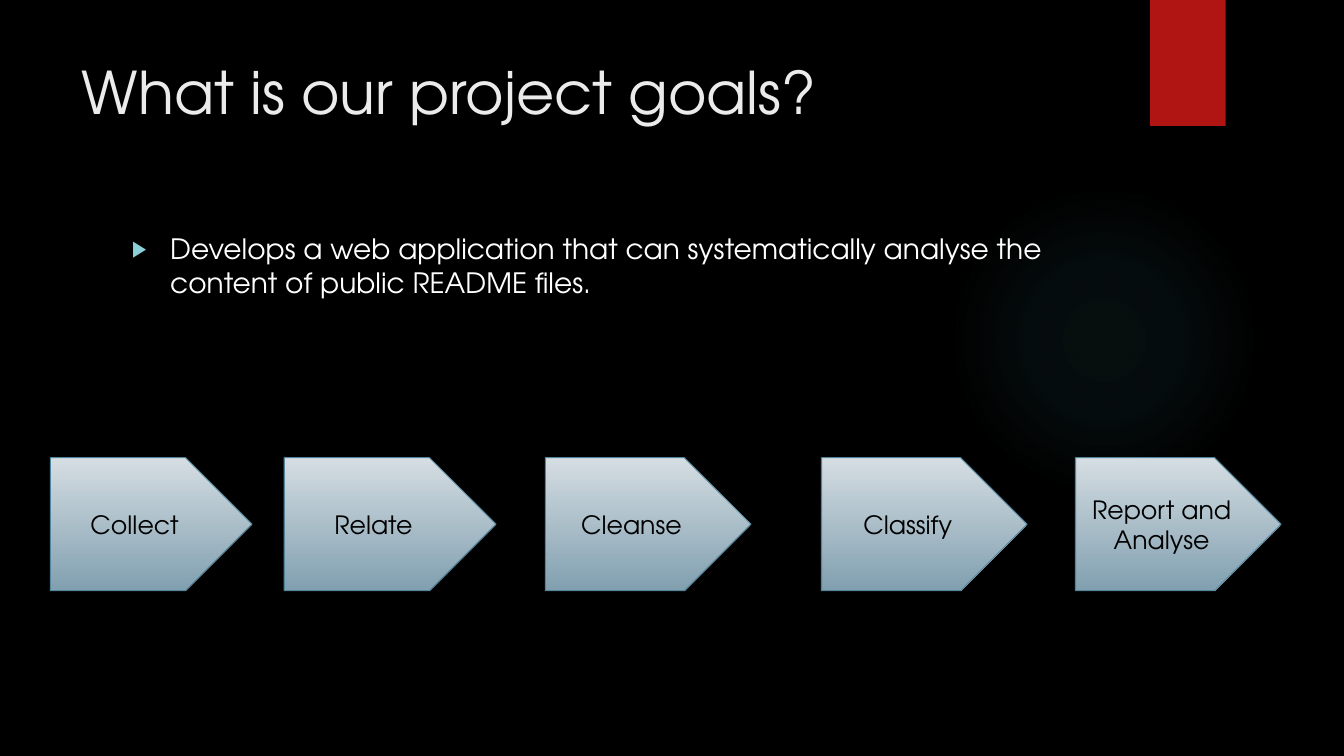
from lxml import etree
from pptx import Presentation
from pptx.dml.color import RGBColor
from pptx.enum.shapes import MSO_SHAPE
from pptx.enum.text import MSO_ANCHOR, MSO_AUTO_SIZE, PP_ALIGN
from pptx.oxml import parse_xml
from pptx.oxml.ns import nsdecls, qn
from pptx.util import Inches, Pt

OVAL, RECTANGLE, PENTAGON = MSO_SHAPE.OVAL, MSO_SHAPE.RECTANGLE, MSO_SHAPE.PENTAGON
TOP, MIDDLE = MSO_ANCHOR.TOP, MSO_ANCHOR.MIDDLE
LEFT, CENTER = PP_ALIGN.LEFT, PP_ALIGN.CENTER
NO_AUTOFIT = MSO_AUTO_SIZE.NONE

WIDTH, HEIGHT = Inches(13.33), Inches(7.5)
COLUMN, ROW = WIDTH / 40, HEIGHT / 30
FONT = "TeX Gyre Adventor"
COLORS = {
    "background": "000000",
    "glow": "50B9C1",
    "ribbon": "B01513",
    "title": "EBEBEB",
    "body": "FFFFFF",
    "bullet": "8AD0D6",
    "step_top": "D5DDE2",
    "step_bottom": "81A0B0",
    "step_line": "54849A",
    "step_text": "000000",
}
# Label, first column and width in columns
STEPS = [
    ("Collect", 1.5, 6),
    ("Relate", 8.46, 6.3),
    ("Cleanse", 16.23, 6.12),
    ("Classify", 24.45, 6.12),
    ("Report and Analyse", 32.01, 6.12),
]
STEP_ROW, STEP_ROWS = 18.16, 5.28


def color(name):
    return RGBColor.from_string(COLORS[name])


def grid(column, row, columns, rows):
    return (round(column * COLUMN), round(row * ROW),
            round(columns * COLUMN), round(rows * ROW))


def write(frame, text, size, color_name, align=LEFT, anchor=TOP):
    frame.word_wrap = True
    frame.auto_size = NO_AUTOFIT
    frame.vertical_anchor = anchor
    frame.text = text
    paragraph = frame.paragraphs[0]
    paragraph.alignment = align
    font = paragraph.font
    font.name, font.size = FONT, Pt(size)
    font.color.rgb = color(color_name)
    return paragraph


def add_plain(slide, kind, place):
    shape = slide.shapes.add_shape(kind, *place)
    shape.shadow.inherit = False
    shape.line.fill.background()
    return shape


def add_glow(slide, place):
    glow = add_plain(slide, OVAL, place)
    stops = "".join(
        f'<a:gs pos="{position * 1000}"><a:srgbClr val="{COLORS["glow"]}">'
        f'<a:alpha val="{opacity * 1000}"/></a:srgbClr></a:gs>'
        for position, opacity in ((0, 7), (36, 6), (69, 0)))
    gradient = parse_xml(
        f'<a:gradFill {nsdecls("a")}><a:gsLst>{stops}</a:gsLst><a:path path="circle">'
        '<a:fillToRect l="50000" t="50000" r="50000" b="50000"/></a:path></a:gradFill>')
    glow._element.spPr.find(qn("a:prstGeom")).addnext(gradient)


def add_ribbon(slide, place):
    ribbon = add_plain(slide, RECTANGLE, place)
    ribbon.fill.solid()
    ribbon.fill.fore_color.rgb = color("ribbon")


def add_title(slide, text, place):
    title = slide.shapes.title
    title.left, title.top, title.width, title.height = place
    write(title.text_frame, text, 42, "title")


def add_goal(slide, text, place):
    goal = slide.shapes.add_textbox(*place)
    paragraph = write(goal.text_frame, text, 20, "body")
    properties = paragraph._p.get_or_add_pPr()
    indent = Inches(0.38)
    properties.set("marL", str(indent))
    properties.set("indent", str(-indent))
    # Bullet elements go ahead of the paragraph's font properties
    bullet = parse_xml(
        f'<a:pPr {nsdecls("a")}><a:buClr><a:srgbClr val="{COLORS["bullet"]}"/></a:buClr>'
        '<a:buSzPct val="80000"/><a:buFont typeface="Arial"/><a:buChar char="▶"/></a:pPr>')
    for position, element in enumerate(list(bullet)):
        properties.insert(position, element)


def add_step(slide, label, place):
    step = add_plain(slide, PENTAGON, place)
    step.fill.gradient()
    step.fill.gradient_angle = 270
    for stop, name, position in zip(step.fill.gradient_stops,
                                    ("step_top", "step_bottom"), (0, 1)):
        stop.color.rgb = color(name)
        stop.position = position
    step.line.color.rgb = color("step_line")
    step.line.width = Pt(0.75)
    write(step.text_frame, label, 18, "step_text", CENTER, MIDDLE)


def main():
    deck = Presentation()
    deck.slide_width, deck.slide_height = WIDTH, HEIGHT
    slide = deck.slides.add_slide(deck.slide_layouts[5])
    slide.background.fill.solid()
    slide.background.fill.fore_color.rgb = color("background")

    # Backdrop
    add_glow(slide, grid(28.23, 7.32, 9.24, 12.32))
    add_ribbon(slide, grid(34.23, 0, 2.25, 5))

    # Title and goal
    add_title(slide, "What is our project goals?", grid(2.13, 2, 30.87, 6.12))
    add_goal(slide, "Develops a web application that can systematically analyse "
             "the content of public README files.", grid(3.63, 9, 29.34, 18.36))

    # Process steps
    for label, column, columns in STEPS:
        add_step(slide, label, grid(column, STEP_ROW, columns, STEP_ROWS))

    deck.save("out.pptx")


if __name__ == "__main__":
    main()
